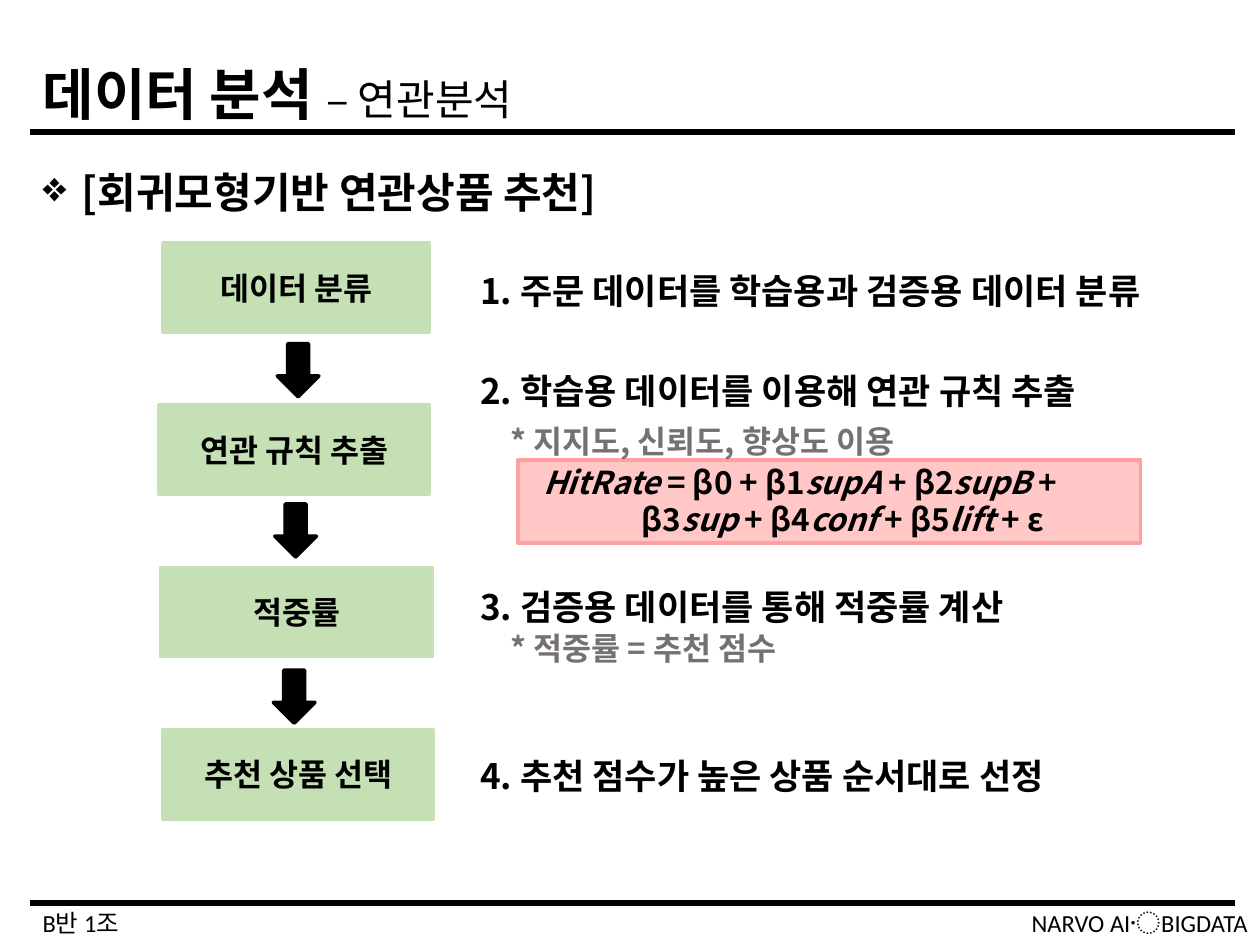
import lxml.etree
import pptx
import pptx.dml.color
import pptx.enum.shapes
import pptx.enum.text
import pptx.oxml.ns
import pptx.util

Cm = pptx.util.Cm
Pt = pptx.util.Pt
SHAPES = pptx.enum.shapes.MSO_SHAPE
ALIGN = pptx.enum.text.PP_ALIGN
HANGUL_FONT = "Noto Sans CJK KR"
STRONG = {"name": HANGUL_FONT, "bold": True}
STEP = {**STRONG, "size": Pt(20)}
NOTE = {**STRONG, "size": Pt(18)}
ITALIC = {**NOTE, "italic": True}


def color(value):
    return pptx.dml.color.RGBColor.from_string(value)


def add_element(parent, tag, **attributes):
    element = lxml.etree.SubElement(parent, pptx.oxml.ns.qn(tag))
    for name, value in attributes.items():
        element.set(name, value)


def add_span(para, text, formats, ink="000000"):
    span = para.add_run()
    span.text = text
    for name, value in formats.items():
        setattr(span.font, name, value)
    span.font.color.rgb = color(ink)
    add_element(span._r.get_or_add_rPr(), "a:ea", typeface=HANGUL_FONT)


def add_text(slide, left, top, width, height):
    box = slide.shapes.add_textbox(Cm(left), Cm(top), Cm(width), Cm(height))
    box.text_frame.word_wrap = True
    return box.text_frame


def add_block(slide, kind, left, top, width, height, fill, line):
    block = slide.shapes.add_shape(kind, Cm(left), Cm(top), Cm(width), Cm(height))
    block.shadow.inherit = False
    block.fill.solid()
    block.fill.fore_color.rgb = color(fill)
    block.line.color.rgb = color(line)
    block.line.width = Pt(2)
    return block


def add_rule(slide, top):
    rule = slide.shapes.add_connector(
        pptx.enum.shapes.MSO_CONNECTOR.STRAIGHT, Cm(0.61), Cm(top), Cm(24.89), Cm(top))
    rule.line.color.rgb = color("000000")
    rule.line.width = Pt(3.5)
    add_element(rule._element.spPr, "a:effectLst")


def add_steps(slide):
    frame = add_text(slide, 9.43, 5.31, 15, 11.51)
    formula_start = [("HitRate ", ITALIC), ("= β0 + β1", NOTE), ("supA ", ITALIC),
                     ("+ β2", NOTE), ("supB ", ITALIC), ("+", NOTE)]
    formula_end = [("β3", NOTE), ("sup ", ITALIC), ("+ β4", NOTE), ("conf ", ITALIC),
                   ("+ β5", NOTE), ("lift ", ITALIC), ("+ ε", NOTE)]
    lines = [
        (0, 0, 24, "000000", [("1. 주문 데이터를 학습용과 검증용 데이터 분류", STEP)]),
        (33, 0, 24, "000000", [("2. 학습용 데이터를 이용해 연관 규칙 추출", STEP)]),
        (6, 0.61, 21.5, "767171", [("* 지지도, 신뢰도, 향상도 이용", NOTE)]),
        (2, 1.27, 21.5, "000000", formula_start),
        (0, 3.26, 21.5, "000000", formula_end),
        (27, 0, 24, "000000", [("3. 검증용 데이터를 통해 적중률 계산", STEP)]),
        (1, 0.61, 21.5, "767171", [("* 적중률 = 추천 점수", NOTE)]),
        (50, 0, 24, "000000", [("4. 추천 점수가 높은 상품 순서대로 선정", STEP)]),
    ]
    for index, (before, indent, spacing, ink, spans) in enumerate(lines):
        para = frame.add_paragraph() if index else frame.paragraphs[0]
        para.space_before = Pt(before)
        para.line_spacing = Pt(spacing)
        para._p.get_or_add_pPr().set("marL", str(Cm(indent)))
        for text, formats in spans:
            add_span(para, text, formats, ink)


def add_heading(slide):
    para = add_text(slide, 0.61, 2.72, 21.56, 1.9).paragraphs[0]
    para.line_spacing = 1.5
    properties = para._p.get_or_add_pPr()
    properties.set("marL", str(Cm(0.79)))
    properties.set("indent", str(Cm(-0.79)))
    add_element(properties, "a:buChar", char="❖")
    add_span(para, "[회귀모형기반 연관상품 추천]", {**STRONG, "size": Pt(24)})


def add_flow(slide):
    stages = [("데이터 분류", 3.28, 5.38), ("연관 규칙 추출", 3.2, 5.46),
              ("적중률", 3.25, 5.46), ("추천 상품 선택", 3.28, 5.46)]
    for index, (label, left, width) in enumerate(stages):
        block = add_block(slide, SHAPES.RECTANGLE, left, 4.9 + 3.27 * index,
                          width, 1.8, "C5E0B4", "C5E0B4")
        frame = block.text_frame
        frame.vertical_anchor = pptx.enum.text.MSO_ANCHOR.MIDDLE
        frame.paragraphs[0].alignment = ALIGN.CENTER
        add_span(frame.paragraphs[0], label, {"name": "Arial", "size": Pt(18), "bold": True})
    for left, top in [(5.59, 6.93), (5.54, 10.16), (5.51, 13.51)]:
        add_block(slide, SHAPES.DOWN_ARROW, left, top, 0.84, 1.07, "000000", "000000")


def add_footer(slide, text, left, width, alignment):
    para = add_text(slide, left, 18.19, width, 0.84).paragraphs[0]
    para.alignment = alignment
    add_span(para, text, {"name": "Calibri", "size": Pt(14)})


def main():
    deck = pptx.Presentation()
    deck.slide_width, deck.slide_height = Cm(25.4), Cm(19.05)
    slide = deck.slides.add_slide(deck.slide_layouts[6])
    add_block(slide, SHAPES.RECTANGLE, 10.44, 9.27, 12.55, 1.68, "FFC7C6", "FF9F9F")
    add_steps(slide)
    title = add_text(slide, 0.61, 1.07, 24.28, 1.6).paragraphs[0]
    add_span(title, "데이터 분석 ", {**STRONG, "size": Pt(32)})
    add_span(title, "– 연관분석", {"name": HANGUL_FONT, "size": Pt(24), "bold": False})
    for top in (2.67, 18.21):
        add_rule(slide, top)
    add_footer(slide, "B반 1조", 0.61, 8.05, ALIGN.LEFT)
    add_footer(slide, "NARVO AI〮BIGDATA", 16.81, 8.59, ALIGN.RIGHT)
    add_heading(slide)
    add_flow(slide)
    deck.save("out.pptx")


if __name__ == "__main__":
    main()
